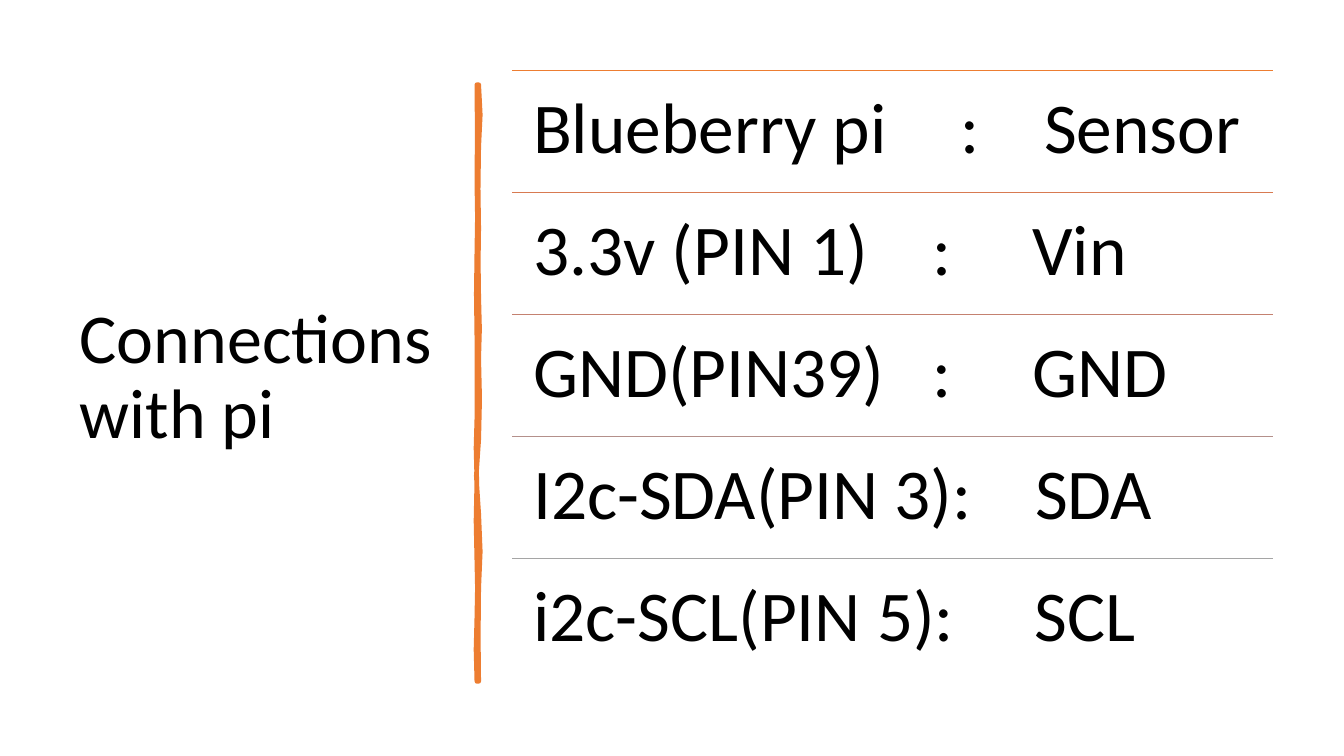
from dataclasses import dataclass

from lxml.etree import SubElement
from pptx import Presentation
from pptx.dml.color import RGBColor
from pptx.enum.shapes import MSO_CONNECTOR
from pptx.enum.text import MSO_ANCHOR, MSO_AUTO_SIZE, PP_ALIGN
from pptx.oxml.ns import qn
from pptx.slide import Slide
from pptx.text.text import TextFrame
from pptx.util import Pt

COLORS = {
    "text": "000000",
    "accent": "ED7D31",
    "rule 2": "D87A51",
    "rule 3": "C48170",
    "rule 4": "B4908B",
    "rule 5": "A5A5A5",
}
FONT = "Calibri"
ROWS_LEFT, ROWS_TOP, ROWS_WIDTH, ROW_HEIGHT = 365.76, 50.4, 543.6, 87.12
ROW_INSET = 15.12

# Edges of the hand-drawn bar as (x, y), right side down and left side up
BAR_OUTLINE = [
    (342, 60.5), (343.1, 82), (342, 105), (341.6, 135), (342, 163),
    (341.7, 187), (342, 212), (342.6, 235), (342, 256), (342.7, 285),
    (342, 314), (340.2, 340), (342, 367), (343.1, 394), (342, 420),
    (341.7, 455), (342, 486.7),
    (340.6, 486.7), (340, 464), (340.6, 441), (341, 420), (340.6, 401),
    (340, 372), (340.6, 343), (340, 320), (340.6, 299), (340.6, 270),
    (340.6, 241), (340.2, 210), (340.6, 180), (341, 155), (340.6, 130),
    (340.9, 95), (340.6, 60.5),
]


@dataclass
class ConnectionRow:
    text: str
    tabs: tuple[float, ...]
    rule: str


ROWS = [
    ConnectionRow("Blueberry pi\t:\tSensor", (305, 365), "accent"),
    ConnectionRow("3.3v (PIN 1)\t:\tVin", (285, 356.5), "rule 2"),
    ConnectionRow("GND(PIN39)\t:\tGND", (285, 356.5), "rule 3"),
    ConnectionRow("I2c-SDA(PIN 3):\tSDA", (358.5,), "rule 4"),
    ConnectionRow("i2c-SCL(PIN 5):\tSCL", (358,), "rule 5"),
]


def color(name: str) -> RGBColor:
    return RGBColor.from_string(COLORS[name])


def write_text(frame: TextFrame, text: str, size: float, anchor: MSO_ANCHOR) -> None:
    frame.word_wrap = True
    frame.auto_size = MSO_AUTO_SIZE.NONE
    frame.vertical_anchor = anchor
    paragraph = frame.paragraphs[0]
    paragraph.text = text
    paragraph.alignment = PP_ALIGN.LEFT
    paragraph.line_spacing = 0.9
    paragraph.font.name = FONT
    paragraph.font.size = Pt(size)
    paragraph.font.color.rgb = color("text")


def set_tabs(frame: TextFrame, positions: tuple[float, ...]) -> None:
    properties = frame.paragraphs[0]._p.get_or_add_pPr()
    tab_list = properties.makeelement(qn("a:tabLst"), {})
    properties.insert_element_before(tab_list, "a:defRPr", "a:extLst")
    for position in positions:
        SubElement(tab_list, qn("a:tab"), pos=str(Pt(position)), algn="l")


def add_title(slide: Slide) -> None:
    title = slide.shapes.title
    title.left, title.top, title.width, title.height = (
        Pt(49.68), Pt(50.4), Pt(269.28), Pt(439.92))
    write_text(title.text_frame, "Connections with pi", 50, MSO_ANCHOR.MIDDLE)


def add_bar(slide: Slide) -> None:
    points = [(Pt(x), Pt(y)) for x, y in BAR_OUTLINE]
    builder = slide.shapes.build_freeform(*points[0])
    builder.add_line_segments(points[1:], close=True)
    bar = builder.convert_to_shape()
    bar.shadow.inherit = False
    bar.fill.solid()
    bar.fill.fore_color.rgb = color("accent")
    bar.line.color.rgb = color("accent")
    bar.line.width = Pt(3.25)


def add_row(slide: Slide, row: ConnectionRow, top: float) -> None:
    rule = slide.shapes.add_connector(
        MSO_CONNECTOR.STRAIGHT,
        Pt(ROWS_LEFT), Pt(top), Pt(ROWS_LEFT + ROWS_WIDTH), Pt(top))
    rule.line.color.rgb = color(row.rule)
    rule.line.width = Pt(1)
    SubElement(rule._element.spPr, qn("a:effectLst"))

    box = slide.shapes.add_textbox(
        Pt(ROWS_LEFT), Pt(top), Pt(ROWS_WIDTH), Pt(ROW_HEIGHT))
    frame = box.text_frame
    frame.margin_left = frame.margin_right = Pt(ROW_INSET)
    frame.margin_top = frame.margin_bottom = Pt(ROW_INSET)
    write_text(frame, row.text, 51, MSO_ANCHOR.TOP)
    set_tabs(frame, row.tabs)


def main() -> None:
    presentation = Presentation()
    presentation.slide_width, presentation.slide_height = Pt(960), Pt(540)
    # Title Only layout
    slide = presentation.slides.add_slide(presentation.slide_layouts[5])
    add_title(slide)
    add_bar(slide)
    # Ruled list of pin connections
    for index, row in enumerate(ROWS):
        add_row(slide, row, ROWS_TOP + index * ROW_HEIGHT)
    presentation.save("out.pptx")


if __name__ == "__main__":
    main()
